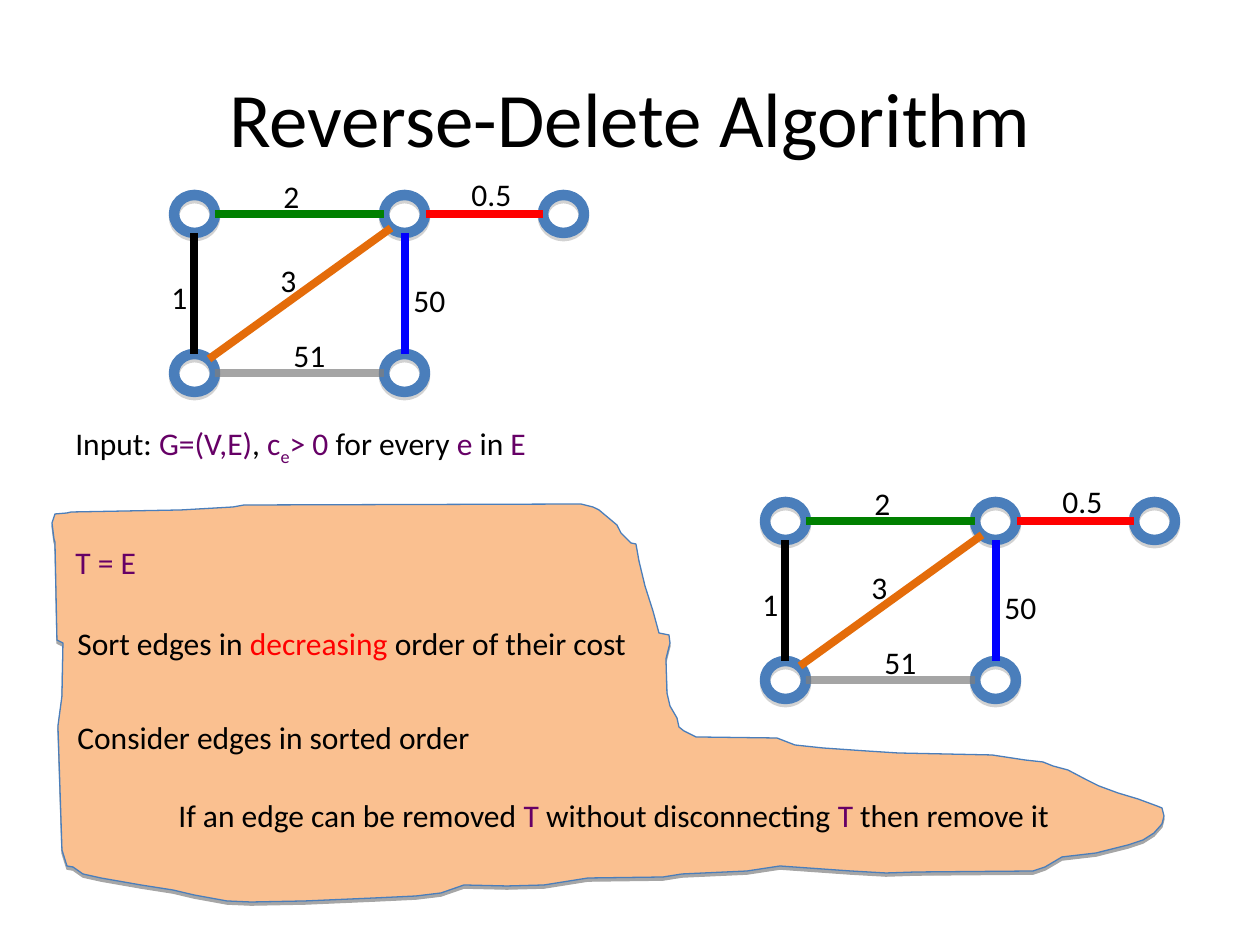
from dataclasses import dataclass
from lxml.etree import SubElement
from pptx import Presentation
from pptx.dml.color import RGBColor as Rgb
from pptx.enum.shapes import MSO_CONNECTOR as Link, MSO_SHAPE as Preset
from pptx.enum.text import MSO_ANCHOR as Anchor, MSO_AUTO_SIZE as AutoSize, PP_ALIGN as Align
from pptx.oxml.ns import qn
from pptx.util import Pt

PX = 914400 / 126


@dataclass(frozen=True)
class Theme:
    font: str = "Calibri"
    title_size: int = 44
    body_size: int = 18
    ink: str = "000000"
    symbol: str = "660066"
    alert: str = "FF0000"
    outline: str = "4A7EBB"
    panel: str = "FAC090"
    node_shadow: str = "808080"
    green: str = "008000"
    blue: str = "0000FF"
    orange: str = "E46C0A"
    grey: str = "7F7F7F"


theme = Theme()


def add_shadow(shape, color):
    shape.shadow.inherit = False
    effects = shape._element.spPr.find(qn("a:effectLst"))
    shadow = SubElement(effects, qn("a:outerShdw"), blurRad="0", dist="22860", dir="5400000", rotWithShape="0")
    tint = SubElement(shadow, qn("a:srgbClr"), val=color)
    SubElement(tint, qn("a:alpha"), val="35000")


def add_text(shapes, box, pieces):
    frame = shapes.add_textbox(*[round(n * PX) for n in box]).text_frame
    frame.word_wrap = False
    frame.auto_size = AutoSize.SHAPE_TO_FIT_TEXT
    paragraph = frame.paragraphs[0]
    paragraph.font.name = theme.font
    paragraph.font.size = Pt(theme.body_size)
    for words, color, *baseline in pieces:
        run = paragraph.add_run()
        run.text = words
        run.font.color.rgb = Rgb.from_string(color)
        if baseline:
            run._r.get_or_add_rPr().set("baseline", baseline[0])


deck = Presentation()
deck.slide_width, deck.slide_height = round(1260 * PX), round(945 * PX)
slide = deck.slides.add_slide(deck.slide_layouts[5])

panel_outline = [
    (55, 542), (57, 640), (63, 643), (62, 696), (58, 726), (62, 850), (67, 866), (73, 867),
    (83, 874), (101, 878), (141, 885), (173, 890), (194, 895), (227, 901), (251, 902),
    (305, 901), (374, 898), (416, 896), (441, 893), (464, 885), (507, 886), (544, 885),
    (588, 878), (663, 877), (682, 874), (747, 871), (780, 866), (851, 871), (886, 873),
    (916, 872), (1033, 871), (1045, 867), (1062, 857), (1096, 853), (1128, 845), (1143, 840),
    (1154, 833), (1162, 824), (1164, 816), (1162, 808), (1157, 806), (1138, 799), (1118, 793),
    (1099, 786), (1085, 779), (1068, 770), (1053, 766), (1043, 762), (1025, 760), (992, 755),
    (898, 753), (867, 751), (823, 748), (795, 745), (777, 738), (696, 737), (684, 731),
    (679, 727), (677, 718), (670, 706), (667, 693), (666, 659), (670, 643), (669, 635),
    (659, 633), (653, 611), (645, 586), (639, 561), (636, 544), (631, 543), (621, 533),
    (617, 525), (599, 510), (593, 507), (581, 504), (244, 505), (233, 507), (181, 510),
    (71, 512), (67, 513), (55, 514), (52, 523), (54, 539),
]
builder = slide.shapes.build_freeform(*panel_outline[0], scale=PX)
builder.add_line_segments(panel_outline[1:], close=True)
panel = builder.convert_to_shape()
panel.fill.solid()
panel.fill.fore_color.rgb = Rgb.from_string(theme.panel)
panel.line.color.rgb = Rgb.from_string(theme.outline)
panel.line.width = Pt(0.75)
add_shadow(panel, theme.ink)

title = slide.shapes.title
title.left, title.top, title.width, title.height = [round(n * PX) for n in (63, 38, 1134, 157)]
title.text_frame.text = "Reverse-Delete Algorithm"
title.text_frame.vertical_anchor = Anchor.MIDDLE
heading = title.text_frame.paragraphs[0]
heading.alignment = Align.CENTER
heading.font.name = theme.font
heading.font.size = Pt(theme.title_size)
heading.font.color.rgb = Rgb.from_string(theme.ink)

steps = [
    ((63, 418, 480, 55), [
        ("Input: ", theme.ink), ("G=(V,E)", theme.symbol), (", ", theme.ink),
        ("c", theme.symbol), ("e", theme.symbol, "-25000"), ("> 0 ", theme.symbol),
        ("for every ", theme.ink), ("e", theme.symbol), (" in ", theme.ink), ("E", theme.symbol)]),
    ((63, 537, 88, 50), [("T = E", theme.symbol)]),
    ((65, 618, 578, 50), [
        ("Sort edges in ", theme.ink), ("decreasing", theme.alert), (" order of their cost", theme.ink)]),
    ((65, 712, 420, 50), [("Consider edges in sorted order", theme.ink)]),
    ((166, 790, 900, 50), [
        ("If an edge can be removed ", theme.ink), ("T", theme.symbol),
        (" without disconnecting ", theme.ink), ("T", theme.symbol), (" then remove it", theme.ink)]),
]
for box, pieces in steps:
    add_text(slide.shapes, box, pieces)

nodes = [(174, 195), (384, 195), (543, 195), (384, 354), (174, 354)]
edges = [
    ("2", theme.green, (215, 214, 384, 214), (271, 171, 42)),
    ("1", theme.ink, (194, 233, 194, 354), (159, 272, 42)),
    ("51", theme.grey, (215, 373, 384, 373), (281, 330, 60)),
    ("50", theme.blue, (405, 233, 405, 354), (401, 275, 60)),
    ("0.5", theme.alert, (426, 214, 543, 214), (459, 169, 70)),
    ("3", theme.orange, (209, 359, 391, 228), (268, 255, 42)),
]
for dx, dy in [(0, 0), (591, 307)]:
    graph = slide.shapes.add_group_shape().shapes
    for x, y in nodes:
        node = graph.add_shape(Preset.OVAL, *[round(n * PX) for n in (x + dx, y + dy, 41, 38)])
        node.fill.background()
        node.line.color.rgb = Rgb.from_string(theme.outline)
        node.line.width = Pt(6)
        add_shadow(node, theme.node_shadow)
    for cost, color, (x1, y1, x2, y2), (left, top, width) in edges:
        ends = (x1 + dx, y1 + dy, x2 + dx, y2 + dy)
        edge = graph.add_connector(Link.STRAIGHT, *[round(n * PX) for n in ends])
        edge.line.color.rgb = Rgb.from_string(color)
        edge.line.width = Pt(4.5)
        SubElement(edge._element.spPr, qn("a:effectLst"))
        if color == theme.grey:
            tint = next(edge._element.spPr.iter(qn("a:srgbClr")))
            SubElement(tint, qn("a:alpha"), val="69000")
        add_text(graph, (left + dx, top + dy, width, 50), [(cost, theme.ink)])

deck.save("out.pptx")
